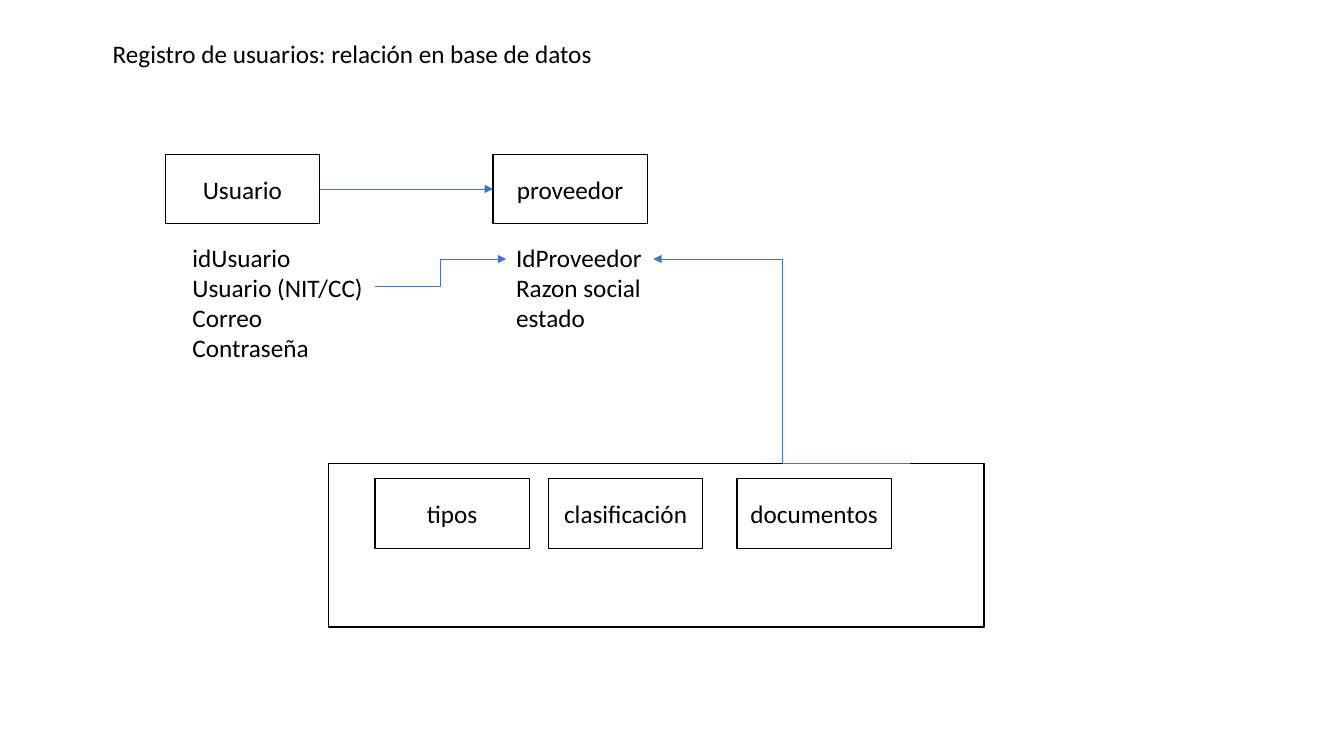
from pptx import Presentation
from pptx.dml.color import RGBColor
from pptx.enum.shapes import MSO_CONNECTOR, MSO_SHAPE
from pptx.enum.text import MSO_ANCHOR, MSO_AUTO_SIZE, PP_ALIGN
from pptx.oxml.ns import qn
from pptx.util import Emu, Pt
from lxml import etree

PX = 9144  # 100 px to the inch
RECT = MSO_SHAPE.RECTANGLE
LINE, BENT = MSO_CONNECTOR.STRAIGHT, MSO_CONNECTOR.ELBOW
MIDDLE = MSO_ANCHOR.MIDDLE
CENTER = PP_ALIGN.CENTER
FIT = MSO_AUTO_SIZE.SHAPE_TO_FIT_TEXT
LEFT, RIGHT = 1, 3
BLACK, BLUE = "000000", "4472C4"
BOX_W, BOX_H = 153, 69


def px(*nums):
    return [Emu(n * PX) for n in nums]


def color(fmt, hex_code):
    fmt.rgb = RGBColor.from_string(hex_code)


def style(frame, align=None):
    for para in frame.paragraphs:
        para.alignment = align
        for run in para.runs:
            run.font.name = "Calibri"
            run.font.size = Pt(18)
            color(run.font.color, BLACK)


def add_box(slide, x, y, w=BOX_W, h=BOX_H, text=""):
    box = slide.shapes.add_shape(RECT, *px(x, y, w, h))
    box.shadow.inherit = False
    box.fill.background()
    color(box.line.color, BLACK)
    box.line.width = Pt(1)
    if text:
        frame = box.text_frame
        frame.text = text
        frame.vertical_anchor = MIDDLE
        style(frame, CENTER)
    return box


def add_text(slide, x, y, w, h, text, wrap=False):
    frame = slide.shapes.add_textbox(*px(x, y, w, h)).text_frame
    frame.text = text
    frame.word_wrap = wrap
    frame.auto_size = FIT
    style(frame)


def add_arrow(slide, kind, start, end):
    arrow = slide.shapes.add_connector(kind, *px(*start, *end))
    color(arrow.line.color, BLUE)
    arrow.line.width = Pt(0.5)
    ln = arrow.line._get_or_add_ln()
    etree.SubElement(ln, qn("a:tailEnd"), type="triangle")
    etree.SubElement(arrow._element.spPr, qn("a:effectLst"))
    return arrow


def main():
    prs = Presentation()
    prs.slide_width, prs.slide_height = px(1333, 750)
    slide = prs.slides.add_slide(prs.slide_layouts[6])

    user = add_box(slide, 164, 153, text="Usuario")
    vendor = add_box(slide, 489, 153, text="proveedor")
    add_text(slide, 181, 235, 191, 162,
             "idUsuario\nUsuario (NIT/CC)\nCorreo\nContraseña")
    link = add_arrow(slide, LINE, (317, 188), (489, 188))
    link.begin_connect(user, RIGHT)
    link.end_connect(vendor, LEFT)
    add_text(slide, 502, 235, 146, 101,
             "IdProveedor\nRazon social\nestado")
    add_arrow(slide, BENT, (372, 284), (502, 257))

    for x, name in ((372, "tipos"), (731, "documentos"),
                    (544, "clasificación")):
        add_box(slide, x, 475, text=name)
    add_box(slide, 326, 460, 650, 162)
    add_arrow(slide, BENT, (903, 460), (648, 257))

    add_text(slide, 102, 33, 670, 40,
             "Registro de usuarios: relación en base de datos", wrap=True)
    prs.save("out.pptx")


if __name__ == "__main__":
    main()
